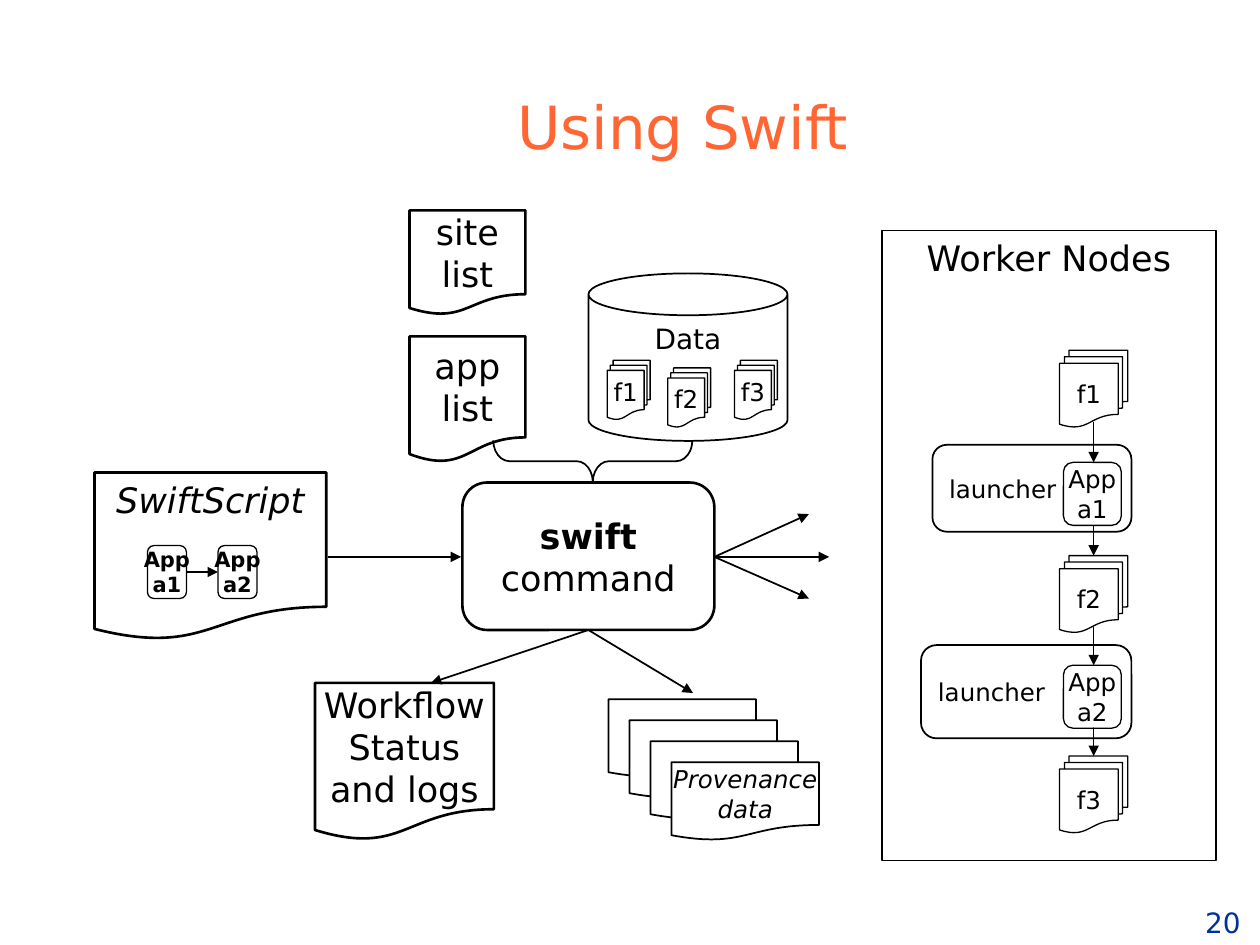
import pptx
import pptx.dml.color
import pptx.enum.shapes
import pptx.enum.text
import pptx.oxml.ns
import pptx.util
from lxml import etree
from pptx.util import Inches

BLACK = pptx.dml.color.RGBColor(0x00, 0x00, 0x00)
WHITE = pptx.dml.color.RGBColor(0xFF, 0xFF, 0xFF)
ORANGE = pptx.dml.color.RGBColor(0xFF, 0x66, 0x33)
NAVY = pptx.dml.color.RGBColor(0x00, 0x33, 0x99)
FONT = "DejaVu Sans"
KIND = pptx.enum.shapes.MSO_SHAPE
LINK = pptx.enum.shapes.MSO_CONNECTOR
ANCHOR = pptx.enum.text.MSO_ANCHOR
ALIGN = pptx.enum.text.PP_ALIGN
qn = pptx.oxml.ns.qn


def write(box, text, size, color=BLACK, bold=False, italic=False,
          anchor=ANCHOR.MIDDLE, align=ALIGN.CENTER, wrap=False):
    frame = box.text_frame
    frame.text = text
    frame.word_wrap = wrap
    frame.vertical_anchor = anchor
    for paragraph in frame.paragraphs:
        paragraph.alignment = align
        for run in paragraph.runs:
            run.font.name = FONT
            run.font.size = pptx.util.Pt(size)
            run.font.color.rgb = color
            run.font.bold = bold
            run.font.italic = italic


def add_label(shapes, place, text, size, color, wrap):
    label = shapes.add_textbox(*map(Inches, place))
    write(label, text, size, color, anchor=ANCHOR.BOTTOM, wrap=wrap)


def add_node(shapes, kind, place, text="", size=20, weight=1.0, opacity=100, **style):
    node = shapes.add_shape(kind, *map(Inches, place))
    node.shadow.inherit = False
    node.line.color.rgb = BLACK
    node.line.width = pptx.util.Pt(weight)
    if opacity:
        node.fill.solid()
        node.fill.fore_color.rgb = WHITE
        if opacity < 100:
            white = node.fill._xPr.find(qn("a:solidFill"))[0]
            etree.SubElement(white, qn("a:alpha"), val=str(opacity * 1000))
    else:
        node.fill.background()
    if text:
        write(node, text, size, **style)
    return node


def add_document(shapes, place, text="", size=20, weight=1.5, **style):
    return add_node(shapes, KIND.FLOWCHART_DOCUMENT, place, text, size, weight, **style)


def add_files(shapes, place, text, **style):
    add_node(shapes, KIND.FLOWCHART_MULTIDOCUMENT, place, text, 14, 0.75, 25, **style)


def add_app(shapes, place, text, size, **style):
    add_node(shapes, KIND.FLOWCHART_ALTERNATE_PROCESS, place, text, size, 0.75, 50, **style)


def add_arrow(shapes, start, end, weight=1.0, kind=LINK.STRAIGHT):
    arrow = shapes.add_connector(kind, *map(Inches, start + end))
    arrow.line.color.rgb = BLACK
    arrow.line.width = pptx.util.Pt(weight)
    etree.SubElement(arrow.line._get_or_add_ln(), qn("a:tailEnd"), type="triangle")
    etree.SubElement(arrow._element.spPr, qn("a:effectLst"))


def add_workers(shapes):
    for place in ((7.31, 5.12, 1.67, 0.74), (7.4, 3.53, 1.58, 0.69)):
        add_node(shapes, KIND.ROUNDED_RECTANGLE, place, "launcher", 14, align=ALIGN.LEFT)
    for name, top in (("f1", 2.78), ("f2", 4.41), ("f3", 6)):
        add_files(shapes, (8.41, top, 0.54, 0.61), name)
    for top, bottom in ((3.35, 3.67), (4.17, 4.41), (4.98, 5.28), (5.77, 6)):
        add_arrow(shapes, (8.68, top), (8.68, bottom), 0.75)
    add_node(shapes, KIND.RECTANGLE, (7, 1.83, 2.65, 5), "Worker Nodes",
             opacity=0, anchor=ANCHOR.TOP)
    for name, top in (("App\va1", 3.67), ("App\va2", 5.28)):
        add_app(shapes, (8.44, top, 0.46, 0.5), name, 14)


def add_script(shapes):
    add_document(shapes, (0.75, 3.75, 1.84, 1.33), "SwiftScript",
                 italic=True, anchor=ANCHOR.TOP)
    add_arrow(shapes, (1.48, 4.54), (1.73, 4.54), 0.75)
    for name, left in (("App\va1", 1.17), ("App\va2", 1.73)):
        add_app(shapes, (left, 4.33, 0.31, 0.42), name, 12, bold=True)


def add_data_store(shapes):
    add_node(shapes, KIND.CAN, (4.67, 2.17, 1.58, 1.33), "Data", 16, anchor=ANCHOR.TOP)
    for name, left, top in (("f1", 4.82, 2.86), ("f2", 5.3, 2.92), ("f3", 5.83, 2.86)):
        add_files(shapes, (left, top, 0.34, 0.47), name, anchor=ANCHOR.TOP)


def add_provenance(shapes):
    for step in range(4):
        place = (4.83 + step / 6, 5.55 + step / 6, 1.17, 0.62)
        text = "Provenance\ndata" if step == 3 else ""
        add_document(shapes, place, text, 14, 1, italic=True)


def add_inputs(shapes):
    add_document(shapes, (3.25, 1.67, 0.92, 0.83), "site\vlist")
    add_document(shapes, (3.25, 2.67, 0.92, 1), "app\vlist")


def add_command(shapes):
    command = add_node(shapes, KIND.ROUNDED_RECTANGLE, (3.67, 3.83, 2, 1.17),
                       "swift\ncommand", weight=1.5)
    command.text_frame.paragraphs[0].runs[0].font.bold = True
    add_arrow(shapes, (2.6, 4.42), (3.66, 4.42), 1.5, LINK.CURVE)


def add_outflows(shapes):
    for end in ((3.42, 5.42), (5.5, 5.5)):
        add_arrow(shapes, (4.67, 5), end)
    brace = add_node(shapes, KIND.LEFT_BRACE, (4.54, 2.87, 0.33, 1.58), opacity=0)
    brace.adjustments[0] = 0.39
    brace.rotation = 270
    for end in ((6.58, 4.42), (6.42, 4.08), (6.42, 4.75)):
        add_arrow(shapes, (5.67, 4.42), end)


def main():
    """Build the slide showing how the swift command runs a workflow."""
    deck = pptx.Presentation()
    deck.slide_width, deck.slide_height = Inches(10), Inches(7.5)
    shapes = deck.slides.add_slide(deck.slide_layouts[6]).shapes
    add_label(shapes, (9.06, 7.1, 1.29, 0.4), "20", 16, NAVY, False)
    add_document(shapes, (2.5, 5.42, 1.42, 1.25), "Workflow\nStatus\nand logs")
    add_command(shapes)
    add_workers(shapes)
    add_label(shapes, (1.17, 0.5, 8.5, 0.83), "Using Swift", 34, ORANGE, True)
    add_script(shapes.add_group_shape().shapes)
    add_data_store(shapes.add_group_shape().shapes)
    add_inputs(shapes)
    add_provenance(shapes.add_group_shape().shapes)
    add_outflows(shapes)
    deck.save("out.pptx")


if __name__ == "__main__":
    main()
